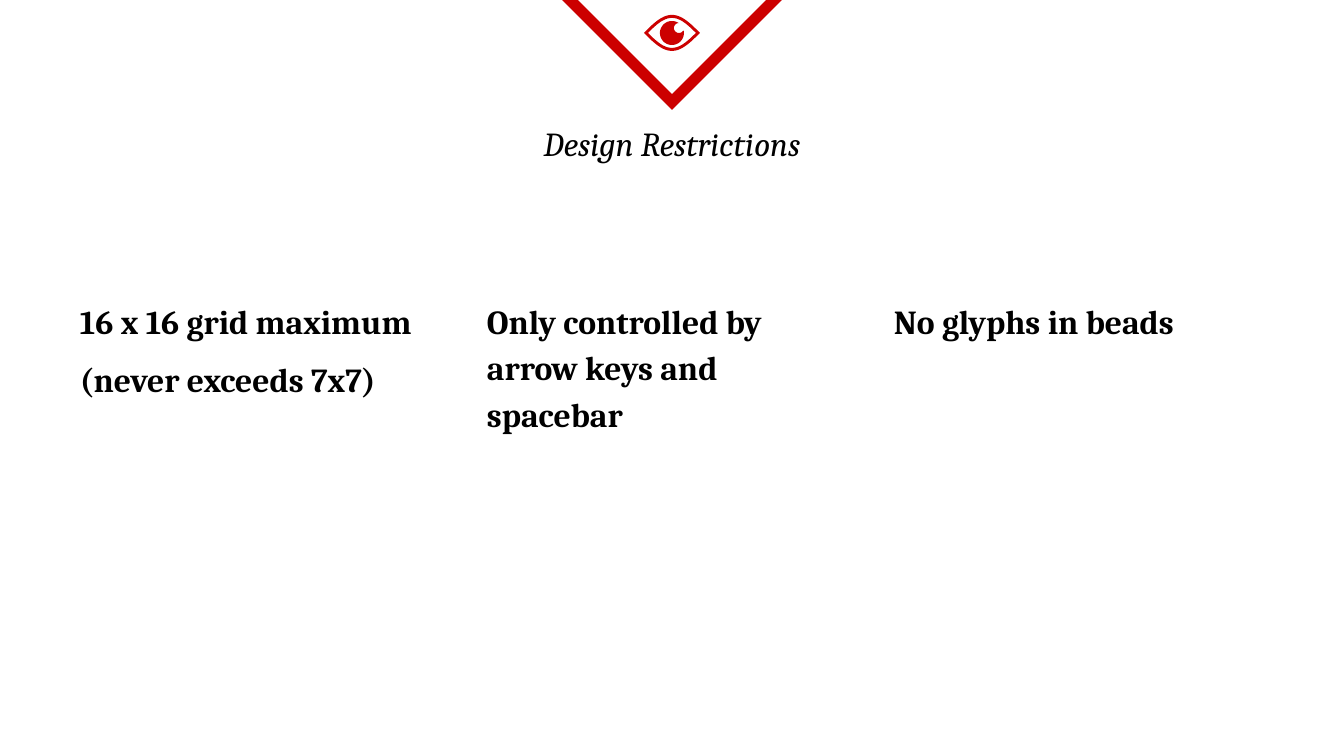
"""Build the Design Restrictions slide with its eye emblem and three columns."""

from dataclasses import dataclass
from math import cos, pi, radians, sin

from lxml.etree import SubElement
from pptx import Presentation
from pptx.dml.color import RGBColor
from pptx.enum.shapes import MSO_SHAPE as Preset
from pptx.enum.text import MSO_ANCHOR as Anchor, PP_ALIGN as Align
from pptx.oxml.ns import qn
from pptx.shapes.autoshape import Shape
from pptx.slide import Slide
from pptx.util import Emu, Pt

SCALE = 914400 / 134.4
RED = RGBColor(0xCC, 0x00, 0x00)
BLACK = RGBColor(0x00, 0x00, 0x00)
FONT = "Cambria"
TEXT_SIZE = 18
INSET = 13
EYE_X, EYE_Y = 672, 33
COLUMN_LEFT, COLUMN_PITCH = 67, 407

Point = tuple[float, float]


@dataclass(frozen=True)
class TextBlock:
    left: int
    top: int
    width: int
    height: int
    text: str
    align: Align = Align.LEFT
    bold: bool = False
    italic: bool = False
    line_spacing: float = 1.0
    space_before: int = 0


def px(length: float) -> Emu:
    return Emu(round(length * SCALE))


def add_text(slide: Slide, block: TextBlock) -> None:
    box = slide.shapes.add_textbox(
        px(block.left), px(block.top), px(block.width), px(block.height)
    )
    frame = box.text_frame
    frame.word_wrap = True
    frame.vertical_anchor = Anchor.TOP
    frame.margin_left = frame.margin_right = px(INSET)
    frame.margin_top = frame.margin_bottom = px(INSET)
    frame.text = block.text
    for paragraph in frame.paragraphs:
        paragraph.alignment = block.align
        paragraph.line_spacing = block.line_spacing
        paragraph.space_before = Pt(block.space_before)
        for run in paragraph.runs:
            run.font.name = FONT
            run.font.size = Pt(TEXT_SIZE)
            run.font.bold = block.bold
            run.font.italic = block.italic
            run.font.color.rgb = BLACK


def add_chevron(slide: Slide) -> None:
    triangle = slide.shapes.add_shape(
        Preset.ISOSCELES_TRIANGLE, px(562), px(-8), px(220), px(110)
    )
    triangle.rotation = 180
    triangle.shadow.inherit = False
    triangle.fill.background()
    triangle.line.color.rgb = RED
    triangle.line.width = Pt(6)
    outline = triangle.line._get_or_add_ln()
    SubElement(outline, qn("a:miter"), lim="800000")


def lens(half_width: int, half_height: int, steps: int = 16) -> list[Point]:
    ratios = [step / steps for step in range(-steps, steps)]
    upper = [
        (EYE_X + half_width * ratio, EYE_Y - half_height * cos(pi / 2 * ratio))
        for ratio in ratios
    ]
    lower = [(2 * EYE_X - x, 2 * EYE_Y - y) for x, y in upper]
    return upper + lower


def arc(
    center_x: int, center_y: int, radius: int, start: int, end: int, steps: int = 40
) -> list[Point]:
    angles = [radians(start + (end - start) * step / steps) for step in range(steps + 1)]
    return [
        (center_x + radius * cos(angle), center_y + radius * sin(angle))
        for angle in angles
    ]


def add_outline(slide: Slide, contours: list[list[Point]]) -> Shape:
    scaled = [[(px(x), px(y)) for x, y in contour] for contour in contours]
    first, *others = scaled
    builder = slide.shapes.build_freeform(*first[0])
    builder.add_line_segments(first[1:], close=True)
    for contour in others:
        builder.move_to(*contour[0])
        builder.add_line_segments(contour[1:], close=True)
    shape = builder.convert_to_shape()
    shape.shadow.inherit = False
    shape.fill.solid()
    shape.fill.fore_color.rgb = RED
    shape.line.fill.background()
    return shape


def add_eye(slide: Slide) -> None:
    add_outline(slide, [lens(24, 15), lens(28, 18)])
    iris = arc(EYE_X, EYE_Y, 12, -8, 304)
    glint = arc(EYE_X + 7, EYE_Y - 5, 5, -98, -330)
    add_outline(slide, [iris + glint])


def main() -> None:
    presentation = Presentation()
    presentation.slide_width = px(1344)
    presentation.slide_height = px(756)
    slide = presentation.slides.add_slide(presentation.slide_layouts[6])

    add_chevron(slide)
    add_text(
        slide,
        TextBlock(152, 110, 1040, 79, "Design Restrictions", Align.CENTER, italic=True),
    )
    restrictions = (
        "16 x 16 grid maximum\n(never exceeds 7x7)",
        "Only controlled by arrow keys and spacebar",
        "No glyphs in beads",
    )
    for index, restriction in enumerate(restrictions):
        left = COLUMN_LEFT + index * COLUMN_PITCH
        add_text(
            slide,
            TextBlock(
                left, 282, 387, 192, restriction,
                bold=True, line_spacing=1.15, space_before=6,
            ),
        )
    add_eye(slide)
    presentation.save("out.pptx")


if __name__ == "__main__":
    main()
